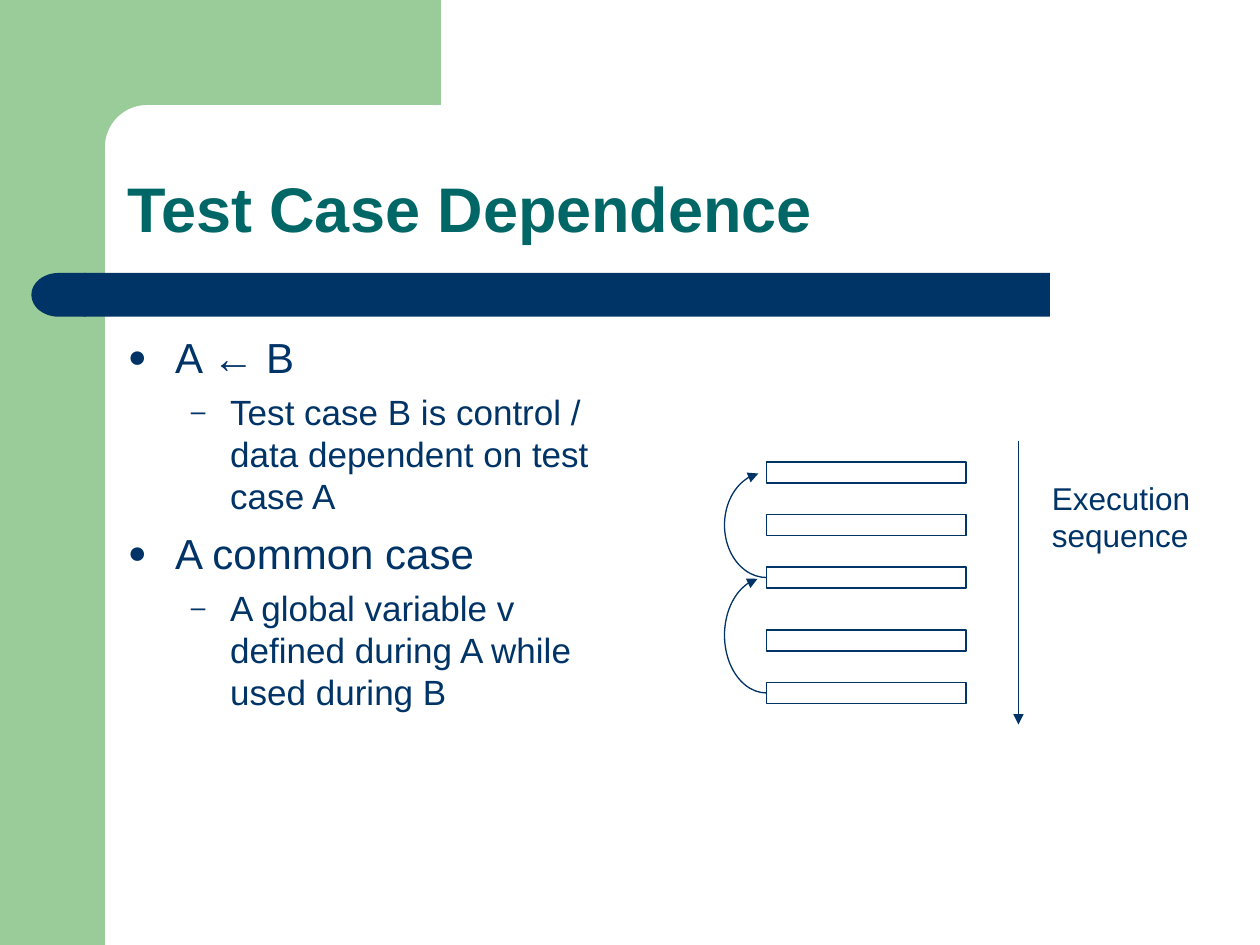
from math import cos, pi, sin

from lxml.etree import SubElement
from pptx import Presentation
from pptx.dml.color import RGBColor
from pptx.enum.shapes import MSO_CONNECTOR, MSO_SHAPE as Kind
from pptx.enum.text import MSO_ANCHOR, MSO_AUTO_SIZE, PP_ALIGN
from pptx.oxml.ns import qn
from pptx.util import Pt

GREEN = RGBColor(0x99, 0xCC, 0x99)
NAVY = RGBColor(0x00, 0x33, 0x66)
TEAL = RGBColor(0x00, 0x66, 0x66)
FONT = "Arial"

# Content
TITLE = "Test Case Dependence"
POINTS = [
    (0, "A ← B"),
    (1, "Test case B is control / data dependent on test case A"),
    (0, "A common case"),
    (1, "A global variable v defined during A while used during B"),
]
# Per level: text size, left margin, hanging indent, space before, bullet
LEVELS = [(24, 27, 27, 6, "●"), (20, 58.5, 22.5, 5, "–")]
LABEL = "Execution sequence"

# Test cases in order of execution, and (dependent, source) pairs
CASE_TOPS = [264, 294, 324, 360, 390]
CASE_X, CASE_W, CASE_H = 438, 114, 12
DEPENDS = [(4, 2), (2, 0)]
ARC_R = 24

prs = Presentation()
prs.slide_width, prs.slide_height = Pt(720), Pt(540)
slide = prs.slides.add_slide(prs.slide_layouts[5])
shapes = slide.shapes


def paint(shape, fill=None, line=None):
    shape.shadow.inherit = False
    if fill is None:
        shape.fill.background()
    else:
        shape.fill.solid()
        shape.fill.fore_color.rgb = fill
    if line is None:
        shape.line.fill.background()
    else:
        shape.line.color.rgb = line
        shape.line.width = Pt(0.75)
    return shape


def draw(kind, x, y, w, h, fill=None, line=None):
    return paint(shapes.add_shape(kind, Pt(x), Pt(y), Pt(w), Pt(h)), fill, line)


def style(font, size, color, bold=False):
    font.name, font.size, font.bold = FONT, Pt(size), bold
    font.color.rgb = color


def add_head(item):
    SubElement(item.line._get_or_add_ln(), qn("a:tailEnd"), type="triangle")


def add_box(x, y, w, h):
    frame = shapes.add_textbox(Pt(x), Pt(y), Pt(w), Pt(h)).text_frame
    frame.word_wrap = True
    return frame


def add_bullet(para, left, hang, mark):
    props = para._p.get_or_add_pPr()
    props.set("marL", str(Pt(left)))
    props.set("indent", str(-Pt(hang)))
    color = SubElement(props, qn("a:buClr"))
    SubElement(color, qn("a:srgbClr"), val=str(NAVY))
    SubElement(props, qn("a:buSzPct"), val="75000")
    SubElement(props, qn("a:buFont"), typeface=FONT)
    SubElement(props, qn("a:buChar"), char=mark)


# Green frame with a rounded inner corner
draw(Kind.RECTANGLE, 0, 0, 60, 540, GREEN)
STEPS, CURVE = 16, 24
angles = [pi / 2 * i / STEPS for i in range(STEPS + 1)]
curve = [(84 - CURVE * sin(a), 84 - CURVE * cos(a)) for a in angles]
corner = [(252, 60), *curve, (60, 92), (36, 92), (36, 0)]
pen = shapes.build_freeform(Pt(252), Pt(0))
pen.add_line_segments([(Pt(x), Pt(y)) for x, y in corner], close=True)
paint(pen.convert_to_shape(), GREEN)

# Navy bar with a round left end
draw(Kind.RECTANGLE, 48, 156, 552, 25, NAVY)
cap = draw(Kind.FLOWCHART_DELAY, 18, 156, 31, 25, NAVY)
cap._element.spPr.get_or_add_xfrm().set("flipH", "1")

# Title
title = shapes.title
title.left, title.top, title.width, title.height = Pt(65.5), Pt(65.5), Pt(613), Pt(78.5)
frame = title.text_frame
frame.text = TITLE
frame.word_wrap = True
frame.auto_size = MSO_AUTO_SIZE.NONE
frame.vertical_anchor = MSO_ANCHOR.BOTTOM
para = frame.paragraphs[0]
para.alignment, para.line_spacing = PP_ALIGN.LEFT, 0.9
style(para.runs[0].font, 36, TEAL, True)

# Bulleted points
frame = add_box(66, 186, 297, 293)
for i, (level, text) in enumerate(POINTS):
    size, left, hang, before, mark = LEVELS[level]
    para = frame.add_paragraph() if i else frame.paragraphs[0]
    para.text, para.level = text, level
    add_bullet(para, left, hang, mark)
    para.space_before = Pt(before if i else 0)
    style(para.runs[0].font, size, NAVY)

# Test cases
for top in CASE_TOPS:
    draw(Kind.RECTANGLE, CASE_X, top, CASE_W, CASE_H, line=NAVY)

# Dependence arcs, from 90 to 261 degrees clockwise
for late, early in DEPENDS:
    top, low = (CASE_TOPS[n] + CASE_H / 2 for n in (early, late))
    arc = draw(Kind.ARC, CASE_X - ARC_R, top, 2 * ARC_R, low - top, line=NAVY)
    for n, angle in enumerate((90, 261)):
        arc.adjustments[n] = angle * 0.6
    add_head(arc)

# Execution order
arrow = shapes.add_connector(MSO_CONNECTOR.STRAIGHT, Pt(582), Pt(252), Pt(582), Pt(414))
arrow.line.color.rgb = NAVY
arrow.line.width = Pt(0.75)
add_head(arrow)
SubElement(arrow._element.spPr, qn("a:effectLst"))
frame = add_box(594, 270, 96, 50.5)
frame.text = LABEL
style(frame.paragraphs[0].runs[0].font, 18, NAVY)

prs.save("out.pptx")
